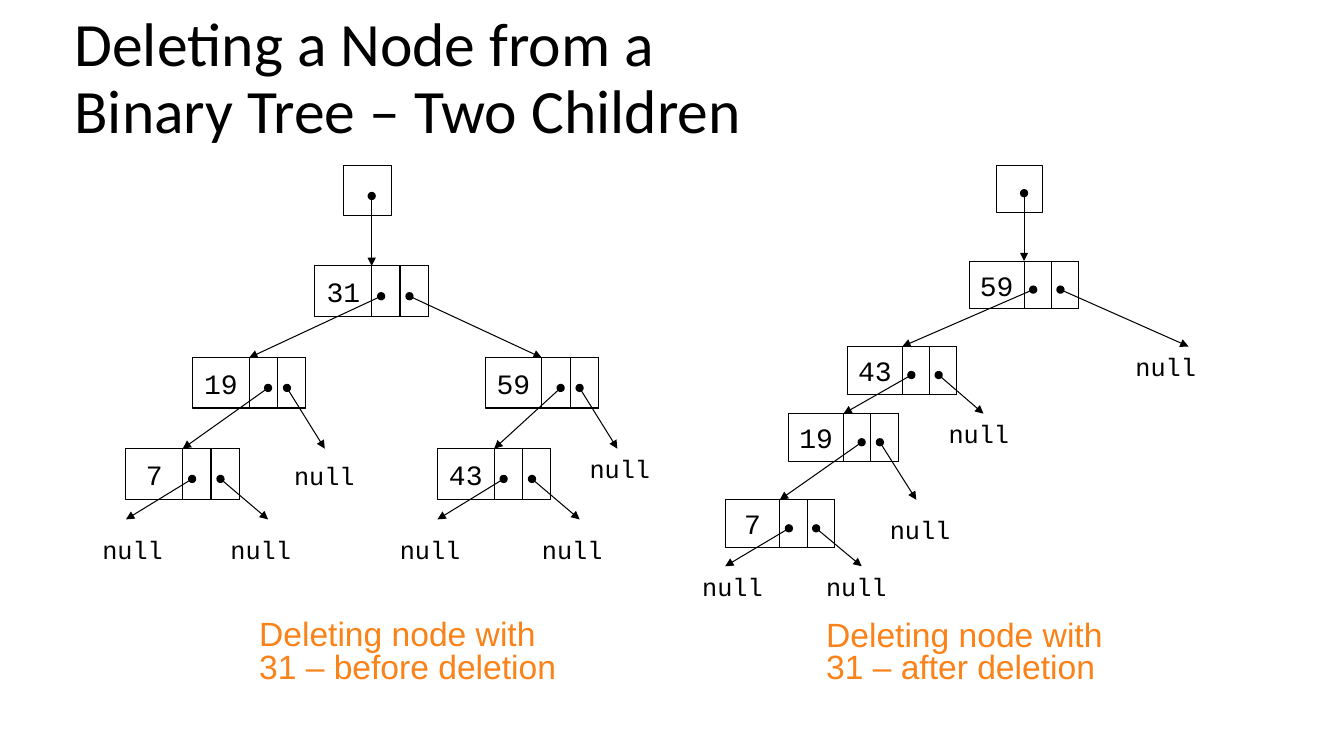
"""Build a slide showing a binary tree before and after deleting node 31."""
from lxml import etree
from pptx import Presentation
from pptx.dml.color import RGBColor
from pptx.enum.shapes import MSO_CONNECTOR, MSO_SHAPE
from pptx.enum.text import MSO_ANCHOR, PP_ALIGN
from pptx.oxml.ns import qn
from pptx.util import Pt

BLACK = RGBColor(0x00, 0x00, 0x00)
ORANGE = RGBColor(0xFA, 0x82, 0x18)
RECTANGLE = MSO_SHAPE.RECTANGLE
STRAIGHT = MSO_CONNECTOR.STRAIGHT
TOP, MIDDLE = MSO_ANCHOR.TOP, MSO_ANCHOR.MIDDLE
LEFT, CENTER = PP_ALIGN.LEFT, PP_ALIGN.CENTER
TITLE_ONLY = 5
TOP_SIDE = 0
LINE_WIDTH = Pt(0.75)
DOT_HEIGHT = 0.6
INNER_DOT, WIDE_DOT, RIGHT_DOT = 7 / 12, 2 / 3, 5 / 6

# Nodes: key, left, top. Links: parent key, dot position, child key.
# Null links: parent key, dot position, arrow tip, label corner.
BEFORE = {
    "root": (245.5, 118, 34, 36), "root_dot": (265.5, 140), "top": 31,
    "node_size": (81, 36), "label_size": (70.5, 38),
    "nodes": [(31, 225, 190), (59, 346.5, 255.5), (19, 137.5, 255.5),
              (7, 90, 320.5), (43, 312.5, 320.5)],
    "links": [(31, INNER_DOT, 19), (31, RIGHT_DOT, 59),
              (19, WIDE_DOT, 7), (59, WIDE_DOT, 43)],
    "nulls": [(19, RIGHT_DOT, (232, 320.5), (203, 325.5)),
              (59, RIGHT_DOT, (441, 320.5), (414, 320.5)),
              (7, INNER_DOT, (90, 371), (66, 378)),
              (7, RIGHT_DOT, (191.5, 371), (157.5, 378)),
              (43, INNER_DOT, (312.5, 371), (278.5, 378)),
              (43, RIGHT_DOT, (414, 371), (380, 378))],
    "caption": (178, 440, "Deleting node with 31 – before deletion"),
}
AFTER = {
    "root": (712, 118, 32.5, 34), "root_dot": (731.5, 138), "top": 59,
    "node_size": (78, 34), "label_size": (66, 34.5),
    "nodes": [(59, 692.5, 186.5), (43, 605.5, 247.5), (19, 563.5, 295.5), (7, 518, 357)],
    "links": [(59, INNER_DOT, 43), (43, INNER_DOT, 19), (19, WIDE_DOT, 7)],
    "nulls": [(59, RIGHT_DOT, (849, 247.5), (804, 247.5)),
              (43, RIGHT_DOT, (702.5, 295.5), (670.5, 295.5)),
              (19, RIGHT_DOT, (654.5, 357), (628.5, 363.5)),
              (7, INNER_DOT, (518, 404.5), (494.5, 404.5)),
              (7, RIGHT_DOT, (615.5, 404.5), (583, 404.5))],
    "caption": (583, 440.5, "Deleting node with 31 – after deletion"),
}

presentation = Presentation()
presentation.slide_width, presentation.slide_height = Pt(960), Pt(540)
slide = presentation.slides.add_slide(presentation.slide_layouts[TITLE_ONLY])


def add_text(paragraph, text, font, size, color=BLACK):
    run = paragraph.add_run()
    run.text = text
    run.font.name, run.font.size = font, Pt(size)
    run.font.color.rgb = color


def add_arrow(start, end):
    arrow = slide.shapes.add_connector(STRAIGHT, *map(Pt, start + end))
    arrow.line.color.rgb = BLACK
    arrow.line.width = LINE_WIDTH
    line = arrow.line._get_or_add_ln()
    etree.SubElement(line, qn("a:headEnd"), type="oval")
    etree.SubElement(line, qn("a:tailEnd"), type="triangle")
    etree.SubElement(arrow._element.spPr, qn("a:effectLst"))
    return arrow


title = slide.shapes.title
title.left, title.top, title.width, title.height = Pt(46), Pt(5), Pt(828), Pt(104.5)
title.text_frame.vertical_anchor = MIDDLE
paragraph = title.text_frame.paragraphs[0]
paragraph.alignment = LEFT
paragraph.line_spacing = 0.9
add_text(paragraph, "Deleting a Node from a ", "Calibri", 44)
paragraph.add_line_break()
add_text(paragraph, "Binary Tree – Two Children", "Calibri", 44)

for tree in (BEFORE, AFTER):
    width, height = tree["node_size"]
    boxes = [("", *tree["root"])]
    for key, left, top in tree["nodes"]:
        boxes.append((key, left, top, width, height))
        for cell in (2, 3):
            boxes.append(("", left + cell * width / 4, top, width / 4, height))

    node_shapes = {}
    for key, *bounds in boxes:
        shape = slide.shapes.add_shape(RECTANGLE, *map(Pt, bounds))
        shape.shadow.inherit = False
        shape.fill.background()
        shape.line.color.rgb = BLACK
        shape.line.width = LINE_WIDTH
        if key:
            node_shapes[key] = shape
            frame = shape.text_frame
            frame.margin_left, frame.margin_right = 0, Pt(width / 2)
            frame.vertical_anchor = MIDDLE
            frame.paragraphs[0].alignment = CENTER
            add_text(frame.paragraphs[0], str(key), "Courier New", 20)

    corners = {key: (left, top) for key, left, top in tree["nodes"]}
    links = [(tree["root_dot"], tree["top"])]
    for parent, dot, child in tree["links"]:
        left, top = corners[parent]
        links.append(((left + dot * width, top + DOT_HEIGHT * height), child))
    for start, child in links:
        left, top = corners[child]
        arrow = add_arrow(start, (left + width / 2, top))
        arrow.end_connect(node_shapes[child], TOP_SIDE)

    for parent, dot, tip, corner in tree["nulls"]:
        left, top = corners[parent]
        add_arrow((left + dot * width, top + DOT_HEIGHT * height), tip)
        label = slide.shapes.add_textbox(*map(Pt, corner + tree["label_size"]))
        label.text_frame.word_wrap = True
        label.text_frame.vertical_anchor = TOP
        paragraph = label.text_frame.paragraphs[0]
        paragraph.space_before = Pt(3)
        add_text(paragraph, "null", "Courier New", 18)

    left, top, text = tree["caption"]
    caption = slide.shapes.add_textbox(Pt(left), Pt(top), Pt(229), Pt(54))
    caption.text_frame.word_wrap = True
    paragraph = caption.text_frame.paragraphs[0]
    paragraph.line_spacing = 0.8
    add_text(paragraph, text, "Arial", 24, ORANGE)

presentation.save("out.pptx")
